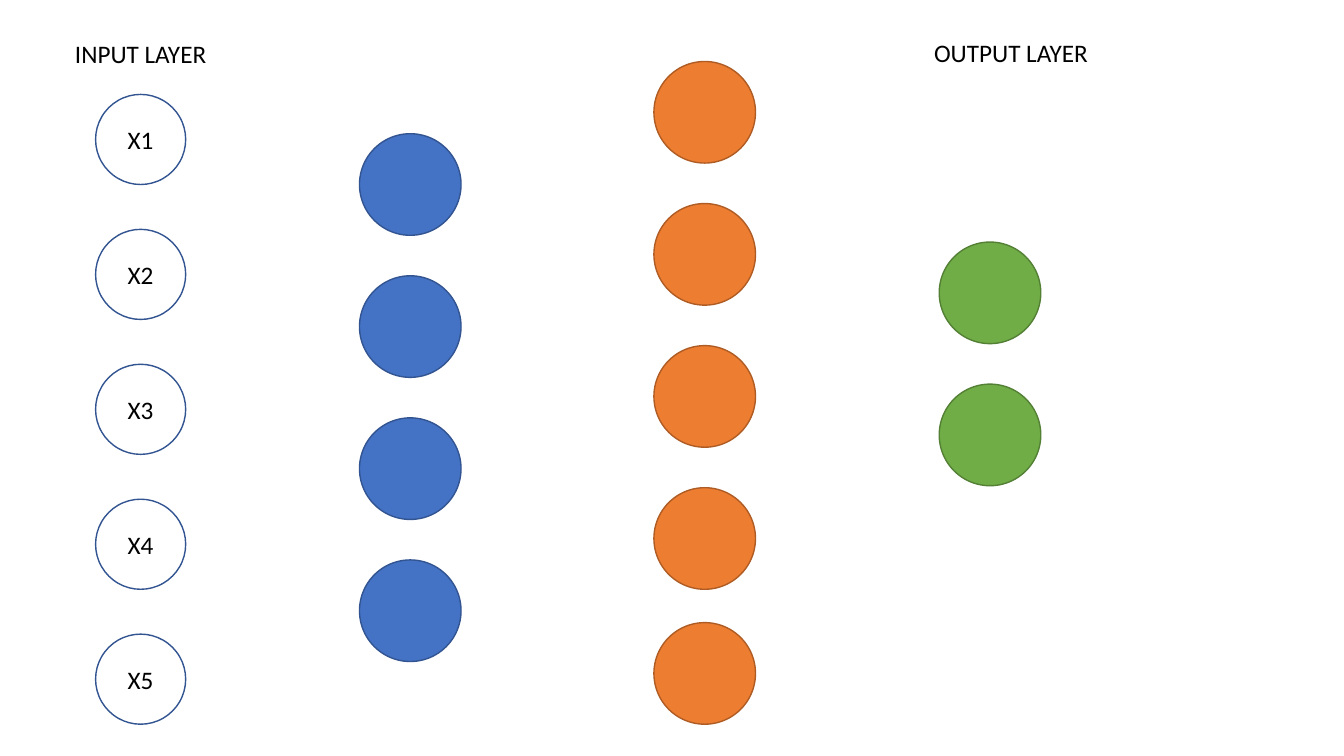
from dataclasses import dataclass

from pptx import Presentation
from pptx.dml.color import RGBColor
from pptx.enum.shapes import MSO_SHAPE
from pptx.enum.text import MSO_ANCHOR, MSO_AUTO_SIZE, PP_ALIGN
from pptx.util import Cm, Pt

ELLIPSE = MSO_SHAPE.OVAL
MIDDLE = MSO_ANCHOR.MIDDLE
GROW = MSO_AUTO_SIZE.SHAPE_TO_FIT_TEXT
LEFT, CENTER = PP_ALIGN.LEFT, PP_ALIGN.CENTER


@dataclass(frozen=True)
class Theme:
    """Colours, font and sizes of the deck."""
    text: str = "000000"
    blue: str = "4472C4"
    blue_line: str = "325491"
    orange: str = "ED7D31"
    orange_line: str = "AF5C24"
    green: str = "70AD47"
    green_line: str = "538035"
    font: str = "Calibri"
    size: int = 18
    line_width: int = 1


@dataclass(frozen=True)
class Layer:
    """One column of neurons; lengths are in centimetres."""
    left: float
    top: float
    labels: tuple
    line: str
    fill: str = ""
    diameter: float = 2.56
    pitch: float = 3.58
    last_lift: float = 0


class Painter:
    """Draws elements on the current slide in one style."""

    def __init__(self, page, theme):
        """Keep the slide and its style."""
        self.page = page
        self.theme = theme

    def set_text(self, frame, text, align):
        """Put one styled paragraph in a text frame."""
        para = frame.paragraphs[0]
        para.text = text
        para.alignment = align
        para.font.name = self.theme.font
        para.font.size = Pt(self.theme.size)
        para.font.color.rgb = RGBColor.from_string(self.theme.text)

    def heading(self, text, left, top, width, align):
        """Add a layer heading."""
        box = self.page.shapes.add_textbox(Cm(left), Cm(top), Cm(width), Cm(1.03))
        box.text_frame.word_wrap = True
        box.text_frame.auto_size = GROW
        self.set_text(box.text_frame, text, align)

    def neuron(self, shapes, layer, top, label):
        """Add one circle, with its label if it has one."""
        side = Cm(layer.diameter)
        circle = shapes.add_shape(ELLIPSE, Cm(layer.left), Cm(top), side, side)
        circle.shadow.inherit = False
        if layer.fill:
            circle.fill.solid()
            circle.fill.fore_color.rgb = RGBColor.from_string(layer.fill)
        else:
            circle.fill.background()
        circle.line.color.rgb = RGBColor.from_string(layer.line)
        circle.line.width = Pt(self.theme.line_width)
        if label:
            circle.text_frame.vertical_anchor = MIDDLE
            self.set_text(circle.text_frame, label, CENTER)

    def layer(self, layer):
        """Add a group of evenly spaced neurons."""
        group = self.page.shapes.add_group_shape()
        last = len(layer.labels) - 1
        for index, label in enumerate(layer.labels):
            lift = layer.last_lift if index == last else 0
            top = layer.top + index * layer.pitch - lift
            self.neuron(group.shapes, layer, top, label)


def main():
    """Build the neural network slide."""
    deck = Presentation()
    deck.slide_width, deck.slide_height = Cm(33.87), Cm(19.05)
    theme = Theme()
    painter = Painter(deck.slides.add_slide(deck.slide_layouts[6]), theme)

    inputs = tuple(f"X{number}" for number in range(1, 6))
    painter.layer(Layer(2.41, 2.38, inputs, theme.blue_line,
                        diameter=2.27, pitch=3.4))
    painter.heading("INPUT LAYER", 1.45, 0.84, 4.19, CENTER)
    painter.layer(Layer(9.06, 3.37, ("",) * 4, theme.blue_line, theme.blue))
    painter.layer(Layer(16.48, 1.55, ("",) * 5, theme.orange_line, theme.orange,
                        last_lift=0.18))
    painter.layer(Layer(23.67, 6.1, ("",) * 2, theme.green_line, theme.green))
    painter.heading("OUTPUT LAYER", 23.29, 0.81, 5.51, LEFT)

    deck.save("out.pptx")


main()
